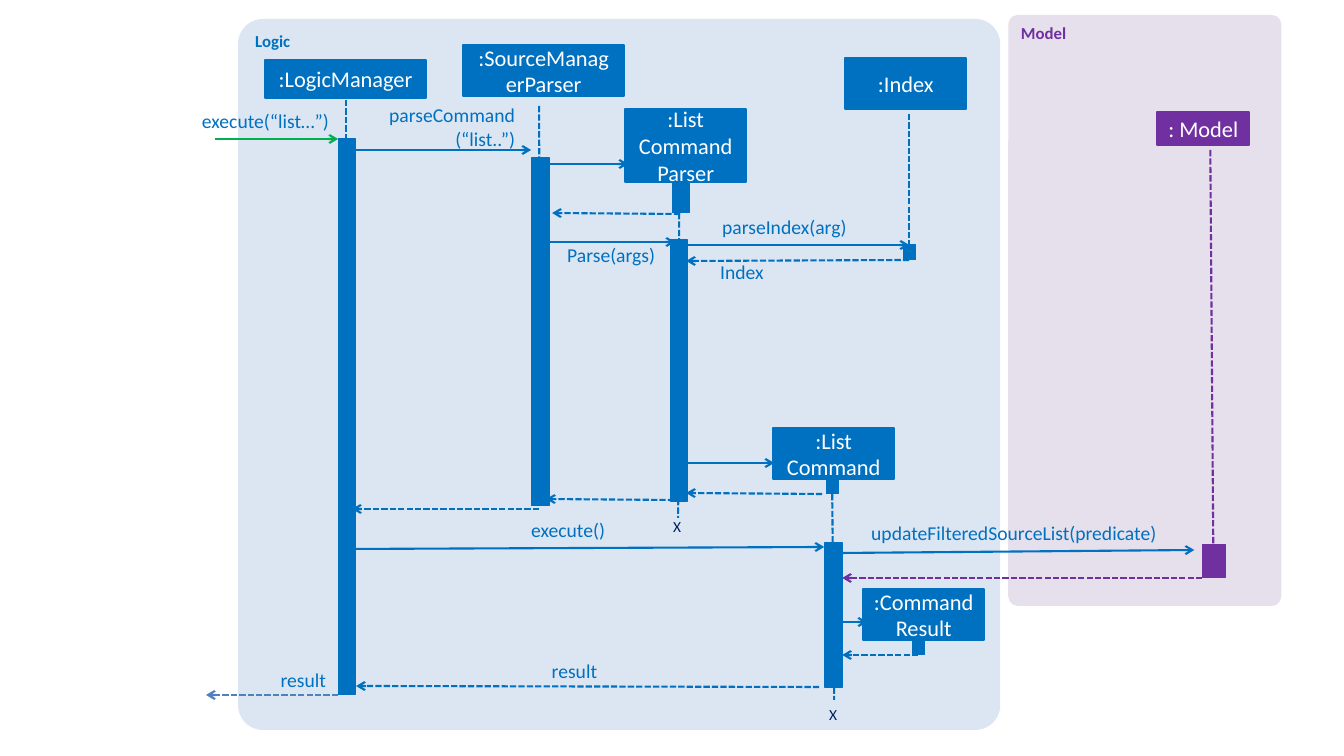
import pptx
import pptx.util
import pptx.dml.color
import pptx.enum.dml
import pptx.enum.shapes
import pptx.enum.text
from lxml import etree

SCALE = 914400 / 100.8
COLORS = {"blue": "0070C0", "purple": "7030A0", "green": "00B050", "steel": "4F81BD",
          "navy": "002060", "white": "FFFFFF", "logic": "DCE6F2", "model": "E6E0EC"}
SHAPES = pptx.enum.shapes.MSO_SHAPE
ALIGN = pptx.enum.text.PP_ALIGN
ANCHOR = pptx.enum.text.MSO_ANCHOR
DASH = pptx.enum.dml.MSO_LINE.SQUARE_DOT

deck = pptx.Presentation()
deck.slide_width, deck.slide_height = pptx.util.Inches(13.33), pptx.util.Inches(7.5)
page = deck.slides.add_slide(deck.slide_layouts[6])


def add_box(text, bounds, kind=None, fill=None, line=0, size=16, color="white",
            bold=False, align=ALIGN.LEFT, anchor=ANCHOR.TOP, inset=None, wrap=True):
    lengths = [round(value * SCALE) for value in bounds]
    if kind is None:
        box = page.shapes.add_textbox(*lengths)
    else:
        box = page.shapes.add_shape(kind, *lengths)
        box.shadow.inherit = False
        box.fill.solid()
        box.fill.fore_color.rgb = pptx.dml.color.RGBColor.from_string(COLORS[fill])
        if line:
            box.line.color.rgb = pptx.dml.color.RGBColor.from_string(COLORS[fill])
            box.line.width = pptx.util.Pt(line)
        else:
            box.line.fill.background()
    frame = box.text_frame
    frame.word_wrap = wrap
    frame.vertical_anchor = anchor
    if inset is not None:
        frame.margin_left = frame.margin_right = frame.margin_top = frame.margin_bottom = inset
    if text:
        frame.text = text
    for para in frame.paragraphs:
        para.alignment = align
        for span in para.runs:
            span.font.name = "Calibri"
            span.font.size = pptx.util.Pt(size)
            span.font.bold = bold
            span.font.color.rgb = pptx.dml.color.RGBColor.from_string(COLORS[color])
    return box


def add_line(points, color="blue", dashed=False, arrow=False):
    connector = page.shapes.add_connector(
        pptx.enum.shapes.MSO_CONNECTOR.STRAIGHT, *[round(value * SCALE) for value in points])
    connector.line.color.rgb = pptx.dml.color.RGBColor.from_string(COLORS[color])
    connector.line.width = pptx.util.Pt(1.5)
    if dashed:
        connector.line.dash_style = DASH
    if arrow:
        outline = connector.line._get_or_add_ln()
        etree.SubElement(outline, pptx.oxml.ns.qn("a:tailEnd"), type="arrow")
    etree.SubElement(connector._element.spPr, pptx.oxml.ns.qn("a:effectLst"))


panels = [
    ("Logic", (238, 19, 762, 711), "logic", "blue"),
    ("Model", (1008, 15, 273, 591), "model", "purple"),
]
for name, bounds, fill, color in panels:
    panel = add_box(name, bounds, SHAPES.ROUNDED_RECTANGLE, fill, size=12, color=color, bold=True)
    panel.adjustments[0] = 0.035

lifelines = [
    ((346, 100, 346, 484), "blue"),
    ((539, 106, 540, 506), "blue"),
    ((679, 213, 678, 518), "blue"),
    ((832, 494, 834, 700), "blue"),
    ((909, 114, 909, 260), "blue"),
    ((1210, 150, 1213, 545), "purple"),
]
for points, color in lifelines:
    add_line(points, color, dashed=True)

activations = [
    ((338, 139, 17, 556), "blue"),
    ((531, 158, 18, 348), "blue"),
    ((672, 183, 17, 30), "blue"),
    ((670, 240, 17, 261), "blue"),
    ((824, 543, 18, 144), "blue"),
    ((826, 479, 12, 15), "blue"),
    ((903, 245, 12, 15), "blue"),
    ((912, 640, 12, 15), "blue"),
    ((1202, 545, 23, 33), "purple"),
]
for bounds, fill in activations:
    add_box("", bounds, SHAPES.RECTANGLE, fill, line=0.75)

participants = [
    (":LogicManager", (265, 60, 161, 38), "blue"),
    (":SourceManagerParser", (463, 45, 161, 51), "blue"),
    (":List\vCommandParser", (625, 109, 121, 73), "blue"),
    (":Index", (845, 58, 121, 51), "blue"),
    (":List\vCommand", (773, 428, 121, 51), "blue"),
    (":Command\nResult", (863, 589, 121, 51), "blue"),
    (": Model", (1157, 112, 92, 33), "purple"),
]
for name, bounds, fill in participants:
    add_box(name, bounds, SHAPES.RECTANGLE, fill, line=1.5,
            align=ALIGN.CENTER, anchor=ANCHOR.MIDDLE)

calls = [
    ((215, 139, 338, 139), "green"),
    ((356, 150, 531, 150), "blue"),
    ((547, 164, 628, 164), "blue"),
    ((541, 242, 675, 242), "blue"),
    ((688, 245, 909, 245), "blue"),
    ((688, 463, 774, 463), "blue"),
    ((351, 549, 824, 547), "blue"),
    ((842, 553, 1194, 550), "blue"),
    ((842, 622, 867, 622), "blue"),
]
returns = [
    ((680, 214, 552, 213), "blue"),
    ((909, 260, 686, 261), "blue"),
    ((822, 494, 686, 493), "blue"),
    ((674, 500, 546, 499), "blue"),
    ((539, 509, 352, 509), "blue"),
    ((1202, 578, 842, 578), "purple"),
    ((918, 655, 842, 655), "blue"),
    ((819, 687, 356, 686), "blue"),
    ((338, 695, 206, 695), "steel"),
]
for messages, dashed in ((calls, False), (returns, True)):
    for points, color in messages:
        add_line(points, color, dashed=dashed, arrow=True)

labels = [
    ("execute(“list…”)", (172, 109, 157, 24), ALIGN.RIGHT),
    ("parseCommand\n(“list..”)", (386, 103, 129, 47), ALIGN.RIGHT),
    ("Parse(args)", (522, 243, 133, 24), ALIGN.RIGHT),
    ("parseIndex(arg)", (722, 215, 149, 24), ALIGN.LEFT),
    ("Index", (720, 260, 129, 24), ALIGN.LEFT),
    ("execute()", (510, 518, 95, 24), ALIGN.RIGHT),
    ("updateFilteredSourceList(predicate)", (871, 521, 290, 24), ALIGN.LEFT),
    ("result", (528, 659, 69, 24), ALIGN.RIGHT),
    ("result", (242, 668, 84, 24), ALIGN.RIGHT),
]
for text, bounds, align in labels:
    add_box(text, bounds, size=14, color="blue", align=align, inset=0)

for left, top in ((663, 512), (819, 700)):
    add_box("X", (left, top, 28, 29), size=11, color="navy", wrap=False)

deck.save("out.pptx")
